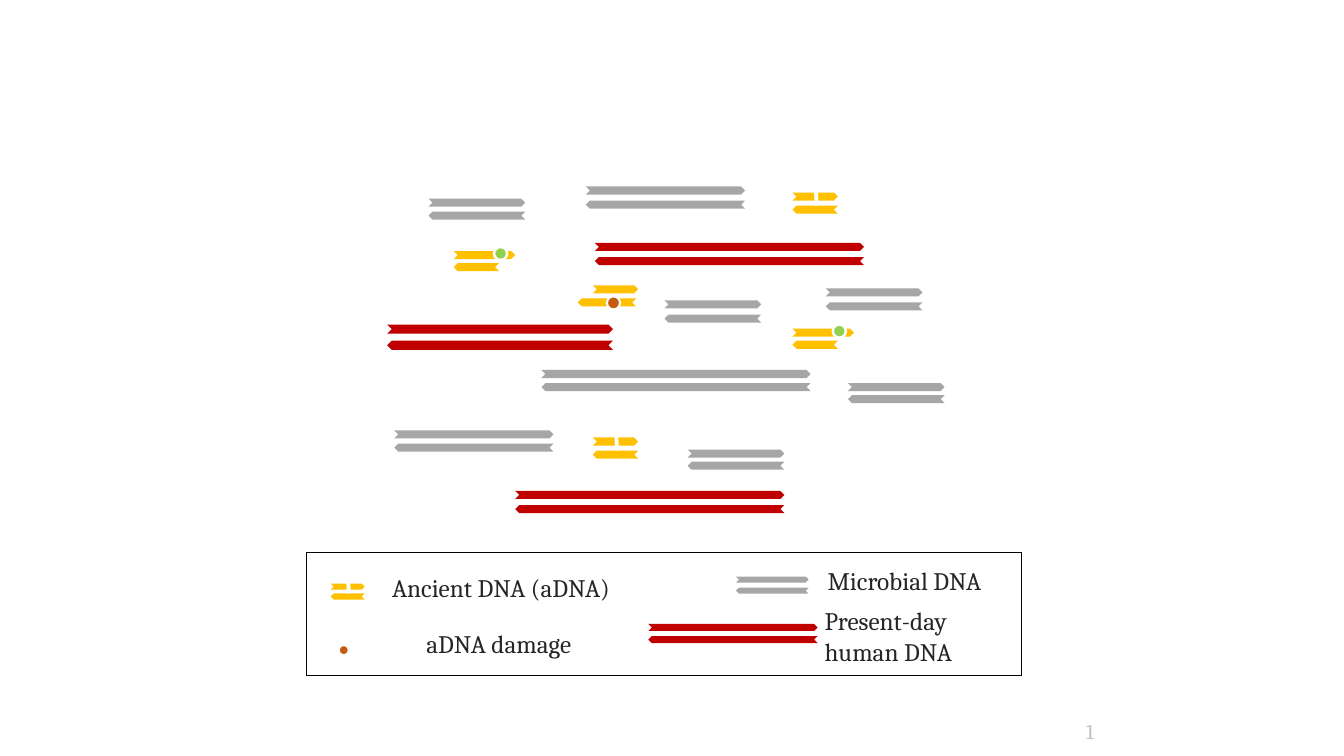
from dataclasses import dataclass

from pptx import Presentation
from pptx.dml.color import RGBColor
from pptx.enum.shapes import MSO_CONNECTOR, MSO_SHAPE
from pptx.enum.text import MSO_ANCHOR, PP_ALIGN
from pptx.oxml.ns import qn
from pptx.util import Inches, Pt

CHEVRON, ELLIPSE, RECT = MSO_SHAPE.CHEVRON, MSO_SHAPE.OVAL, MSO_SHAPE.RECTANGLE
STRAIGHT = MSO_CONNECTOR.STRAIGHT
TOP, MIDDLE = MSO_ANCHOR.TOP, MSO_ANCHOR.MIDDLE
LEFT, CENTER = PP_ALIGN.LEFT, PP_ALIGN.CENTER


@dataclass(frozen=True)
class Theme:
    font: str = "Cambria"
    label_size: float = 18
    number_size: float = 15
    text: str = "262626"
    number: str = "BFBFBF"
    human: str = "C00000"
    microbial: str = "A6A6A6"
    ancient: str = "FFC000"
    damage: str = "C55A11"
    adduct: str = "92D050"
    white: str = "FFFFFF"
    frame: str = "000000"


THEME = Theme()

MICROBIAL = [
    (5.37, 3.67, 2.67, 0.13), (5.81, 1.85, 1.58, 0.14),
    (6.59, 2.98, 0.96, 0.14), (8.19, 2.86, 0.96, 0.14),
    (3.91, 4.27, 1.58, 0.13), (8.41, 3.8, 0.96, 0.12),
    (6.82, 4.46, 0.96, 0.12), (4.25, 1.97, 0.96, 0.13),
]
HUMAN = [
    (5.9, 2.41, 2.67, 0.14, 0.08), (5.11, 4.87, 2.67, 0.14, 0.08),
    (3.84, 3.22, 2.24, 0.16, 0.09),
]
NICKED = [(5.88, 4.34), (7.86, 1.91)]
ADDUCTED = [(7.86, 3.26), (4.5, 2.49)]
LABELS = [
    ("Ancient DNA (aDNA)", 3.79, 5.63, 2.6, 0.4),
    ("aDNA damage", 4.13, 6.18, 2, 0.4),
    ("Microbial DNA", 8.11, 5.56, 2, 0.4),
    ("Present-day human DNA", 8.08, 5.96, 1.9, 0.7),
]


def rgb(color):
    return RGBColor.from_string(color)


def add_shape(shapes, kind, x, y, w, h, fill=None, line=None, line_width=1):
    sp = shapes.add_shape(kind, Inches(x), Inches(y), Inches(w), Inches(h))
    sp.shadow.inherit = False
    if fill:
        sp.fill.solid()
        sp.fill.fore_color.rgb = rgb(fill)
    else:
        sp.fill.background()
    if line:
        sp.line.color.rgb = rgb(line)
        sp.line.width = Pt(line_width)
    else:
        sp.line.fill.background()
    return sp


def add_duplex(s, x, y, w, gap, color, h=0.08, lower_x=None, lower_w=None):
    shapes = s.shapes.add_group_shape().shapes
    add_shape(shapes, CHEVRON, x, y, w, h, color)
    lower = add_shape(shapes, CHEVRON, lower_x or x, y + gap, lower_w or w, h, color)
    lower.rotation = 180
    return shapes


def add_nicked(s, x, y, scale=1):
    shapes = add_duplex(s, x, y, 0.45 * scale, 0.13 * scale, THEME.ancient, 0.08 * scale)
    ends = (x + 0.22 * scale, y - 0.27 * scale, x + 0.24 * scale, y + 0.13 * scale)
    nick = shapes.add_connector(STRAIGHT, *map(Inches, ends))
    nick.line.color.rgb = rgb(THEME.white)
    nick.line.width = Pt(2.75)
    sp_pr = nick._element.spPr
    sp_pr.append(sp_pr.makeelement(qn("a:effectLst"), {}))


def add_lesion(shapes, x, y, color, size=0.13, line_width=1.5):
    add_shape(shapes, ELLIPSE, x, y, size, size, color, THEME.white, line_width)


def add_text(s, text, x, y, w, h, *, size=THEME.label_size, color=THEME.text,
             align=LEFT, anchor=TOP):
    tf = s.shapes.add_textbox(Inches(x), Inches(y), Inches(w), Inches(h)).text_frame
    tf.word_wrap = True
    tf.vertical_anchor = anchor
    p = tf.paragraphs[0]
    p.alignment = align
    r = p.add_run()
    r.text = text
    r.font.name = THEME.font
    r.font.size = Pt(size)
    r.font.color.rgb = rgb(color)


def add_fragments(s):
    for x, y, w, gap in MICROBIAL:
        add_duplex(s, x, y, w, gap, THEME.microbial)
    for x, y, w, gap, h in HUMAN:
        add_duplex(s, x, y, w, gap, THEME.human, h)
    for x, y in NICKED:
        add_nicked(s, x, y)
    for x, y in ADDUCTED:
        shapes = add_duplex(s, x, y, 0.61, 0.12, THEME.ancient, lower_w=0.45)
        add_lesion(shapes, x + 0.4, y - 0.04, THEME.adduct, line_width=1.75)
    shapes = add_duplex(s, 5.88, 2.83, 0.45, 0.13, THEME.ancient,
                        lower_x=5.73, lower_w=0.58)
    add_lesion(shapes, 6.02, 2.94, THEME.damage)


def add_legend(s):
    add_nicked(s, 3.28, 5.79, scale=0.75)
    add_lesion(s.shapes, 3.36, 6.4, THEME.damage, size=0.1)
    add_duplex(s, 7.3, 5.72, 0.72, 0.11, THEME.microbial, 0.06)
    add_duplex(s, 6.43, 6.19, 1.68, 0.12, THEME.human, 0.07)
    for label in LABELS:
        add_text(s, *label)
    add_shape(s.shapes, RECT, 3.04, 5.48, 7.09, 1.22, line=THEME.frame)


def main():
    prs = Presentation()
    prs.slide_width, prs.slide_height = Inches(13.33), Inches(7.5)
    s = prs.slides.add_slide(prs.slide_layouts[6])
    add_fragments(s)
    add_legend(s)
    add_text(s, "1", 10.45, 7.05, 0.72, 0.4, size=THEME.number_size,
             color=THEME.number, align=CENTER, anchor=MIDDLE)
    prs.save("out.pptx")


if __name__ == "__main__":
    main()
